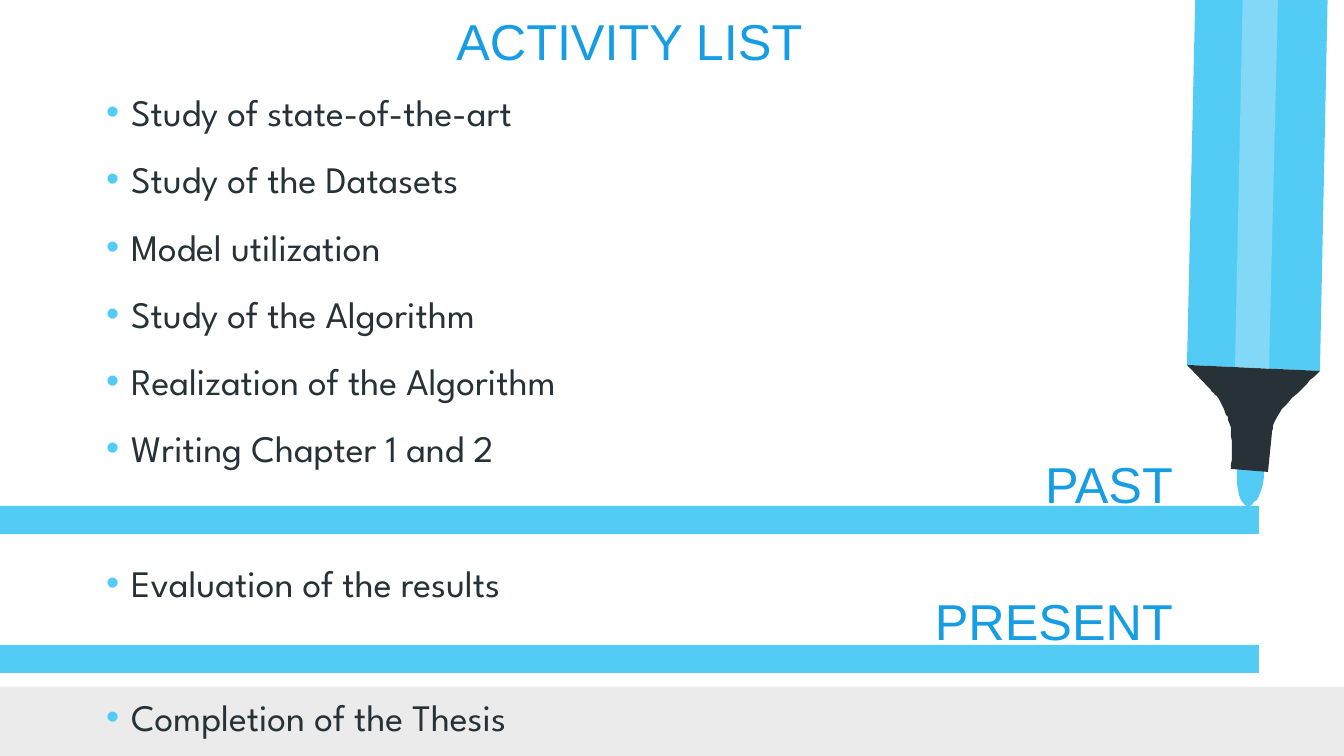
from lxml import etree
from pptx import Presentation
from pptx.dml.color import RGBColor
from pptx.enum import shapes, text
from pptx.oxml.ns import qn
from pptx.util import Emu, Inches, Pt

WIDTH, HEIGHT = 1344, 756
PX = Inches(10) / WIDTH
SKY = RGBColor(0x53, 0xCC, 0xF5)
BLUE = RGBColor(0x17, 0x9D, 0xE3)
INK = RGBColor(0x26, 0x32, 0x38)
PALE = RGBColor(0xEB, 0xEB, 0xEB)
WHITE = RGBColor(0xFF, 0xFF, 0xFF)
INSET = 13
INDENT = 25
CURVE_STEPS = 10


def px(length):
    return Emu(round(length * PX))


def curve(*controls):
    """Points along a cubic Bezier curve, both ends included."""
    points = []
    for step in range(CURVE_STEPS + 1):
        t = step / CURVE_STEPS
        weights = ((1 - t) ** 3, 3 * t * (1 - t) ** 2, 3 * t * t * (1 - t), t ** 3)
        points.append(tuple(round(sum(w * c[axis] for w, c in zip(weights, controls)), 2)
                            for axis in (0, 1)))
    return points


class Slide:
    heading_font, heading_size = "Arial", Pt(27)
    body_font, body_size = "League Spartan", Pt(20)

    def __init__(self, deck):
        self.page = deck.slides.add_slide(deck.slide_layouts[6])

    def paint(self, shape, color, opacity=100):
        shape.shadow.inherit = False
        shape.fill.solid()
        shape.fill.fore_color.rgb = color
        shape.line.fill.background()
        if opacity < 100:
            tint = shape.fill._xPr.find(".//" + qn("a:srgbClr"))
            etree.SubElement(tint, qn("a:alpha")).set("val", str(opacity * 1000))

    def bar(self, left, top, width, height, color):
        shape = self.page.shapes.add_shape(
            shapes.MSO_SHAPE.RECTANGLE, px(left), px(top), px(width), px(height))
        self.paint(shape, color)

    def outline(self, points, color, opacity=100):
        builder = self.page.shapes.build_freeform(*points[0], scale=PX)
        builder.add_line_segments(points[1:], close=True)
        self.paint(builder.convert_to_shape(), color, opacity)

    def text_box(self, left, top, width, height, words, anchor):
        box = self.page.shapes.add_textbox(px(left), px(top), px(width), px(height))
        frame = box.text_frame
        frame.word_wrap = True
        frame.auto_size = text.MSO_AUTO_SIZE.NONE
        frame.vertical_anchor = anchor
        frame.margin_left = frame.margin_right = px(INSET)
        frame.margin_top = frame.margin_bottom = px(INSET)
        frame.text = words
        return frame

    def style(self, para, name, size, color):
        for span in para.runs:
            span.font.name, span.font.size = name, size
            span.font.color.rgb = color

    def heading(self, left, top, width, height, words, align):
        frame = self.text_box(left, top, width, height, words, text.MSO_ANCHOR.MIDDLE)
        para = frame.paragraphs[0]
        para.alignment = align
        self.style(para, self.heading_font, self.heading_size, BLUE)

    def bullets(self, left, top, width, height, groups, gap):
        items = [item for group in groups for item in group]
        openers = {group[0] for group in groups[1:]}
        frame = self.text_box(left, top, width, height, "\n".join(items),
                              text.MSO_ANCHOR.TOP)
        for para in frame.paragraphs:
            para.line_spacing = 1.5
            if para.text in openers:
                para.space_before = gap
            properties = para._p.get_or_add_pPr()
            properties.set("marL", str(px(INDENT)))
            properties.set("indent", str(-px(INDENT)))
            color = etree.SubElement(properties, qn("a:buClr"))
            etree.SubElement(color, qn("a:srgbClr")).set("val", str(SKY))
            etree.SubElement(properties, qn("a:buFont")).set("typeface", "Arial")
            etree.SubElement(properties, qn("a:buChar")).set("char", "•")
            self.style(para, self.body_font, self.body_size, INK)


deck = Presentation()
deck.slide_width, deck.slide_height = px(WIDTH), px(HEIGHT)
slide = Slide(deck)

# Footer band
slide.bar(0, 687, WIDTH, 69, PALE)

# Title and activities, grouped by period
slide.heading(63, 17, 1133, 47, "ACTIVITY LIST", text.PP_ALIGN.CENTER)
slide.bullets(93, 54, 958, 620, [
    ["Study of state-of-the-art", "Study of the Datasets", "Model utilization",
     "Study of the Algorithm", "Realization of the Algorithm", "Writing Chapter 1 and 2"],
    ["Evaluation of the results"],
    ["Completion of the Thesis"],
], gap=Pt(36))

# Highlighter: barrel, nib, grip and shine
slide.outline([(1320, 371), (1332, -210), (1200, -207), (1187, 365)], SKY)
slide.outline(curve((1248, 507), (1248, 507), (1266, 500), (1264, 468))
              + curve((1237, 467), (1237, 467), (1233, 499), (1248, 507)), SKY)
slide.outline([(1268, 472)]
              + curve((1272, 433), (1272, 433), (1272, 417), (1292, 398))
              + curve((1292, 398), (1312, 379), (1320, 371), (1320, 371))
              + [(1187, 365)]
              + curve((1211, 390), (1216, 395), (1220, 400), (1223, 407))
              + curve((1223, 407), (1227, 415), (1231, 425), (1231, 431))
              + curve((1231, 431), (1233, 446), (1231, 469), (1231, 469)), INK)
slide.outline([(1269, 369), (1283, -208), (1247, -208), (1235, 367)], WHITE, opacity=27)

# Period labels, each above its highlighted line
for label, label_top, bar_top in (("PAST", 445, 506), ("PRESENT", 582, 645)):
    slide.heading(685, label_top, 501, 77, label, text.PP_ALIGN.RIGHT)
    slide.bar(0, bar_top, 1259, 28, SKY)

deck.save("out.pptx")
